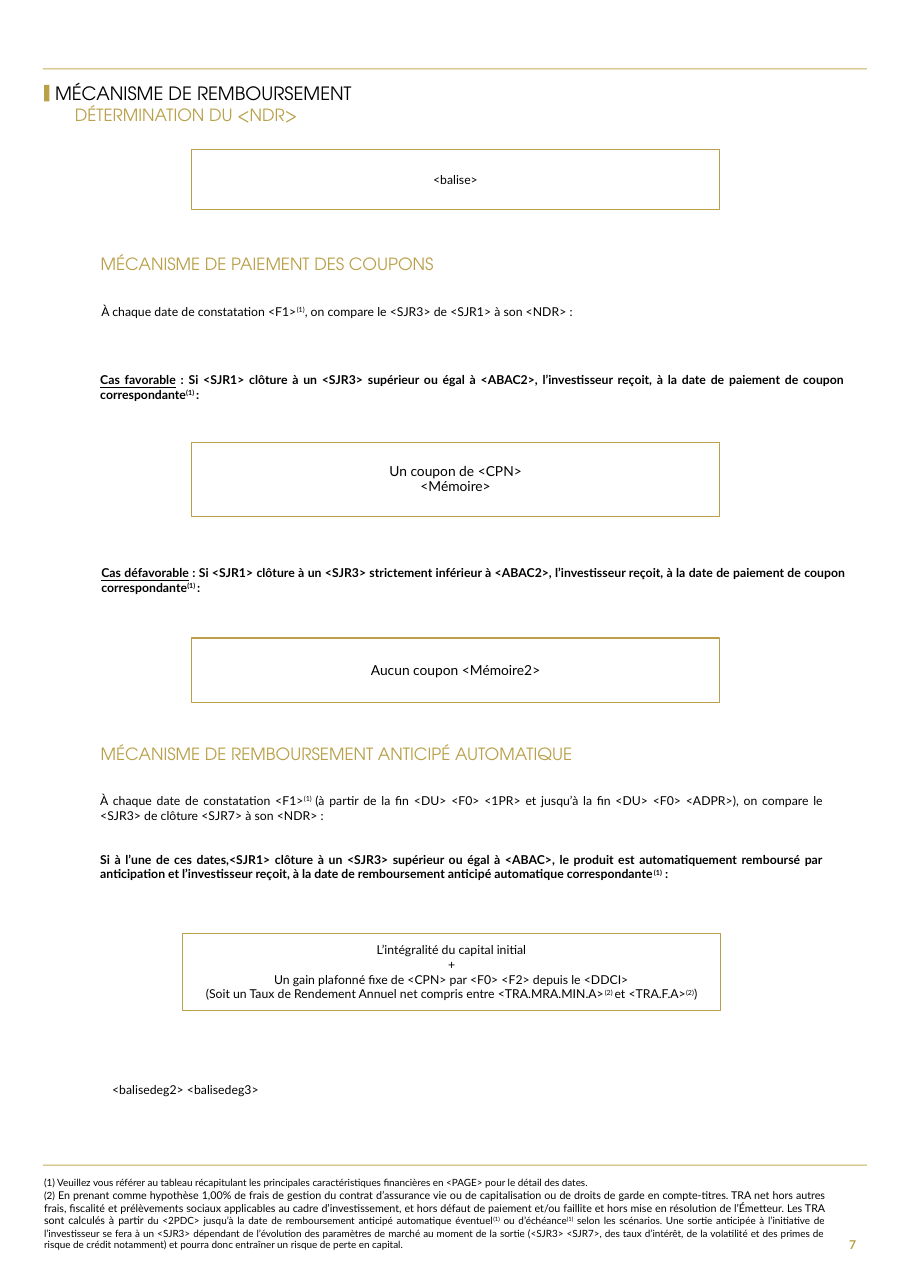
from dataclasses import dataclass

from pptx import Presentation
from pptx.dml.color import RGBColor
from pptx.enum.shapes import MSO_SHAPE as Shape
from pptx.enum.text import MSO_ANCHOR as Anchor, PP_ALIGN as Align
from pptx.util import Inches, Pt


@dataclass(frozen=True)
class Theme:
    gold: RGBColor = RGBColor(0xB9, 0xA0, 0x49)
    rule_gold: RGBColor = RGBColor(0xC5, 0xAF, 0x5C)
    black: RGBColor = RGBColor(0, 0, 0)
    body_font: str = "Lato"
    heading_font: str = "TeX Gyre Adventor"
    title: Pt = Pt(12)
    heading: Pt = Pt(11)
    emphasis: Pt = Pt(9)
    body: Pt = Pt(8)
    note_large: Pt = Pt(7)
    note: Pt = Pt(6.5)


THEME = Theme()
WIDTH, HEIGHT = Inches(8.27), Inches(11.69)

# Shares of the slide, in percent
MARGIN, RULE_WIDTH = 4.72, 90.45
BODY_LEFT, BODY_WIDTH = 11.05, 79.44
CASE_WIDTH = 81.8
BOX_LEFT, BOX_WIDTH = 21.04, 57.92

BODY = {"name": THEME.body_font, "size": THEME.body, "color": THEME.black}
BOLD = BODY | {"bold": True}
EMPHASIS = BODY | {"size": THEME.emphasis}
NOTE = BODY | {"size": THEME.note}
PAGE = BOLD | {"color": THEME.gold}
TITLE = {"name": THEME.heading_font, "size": THEME.title, "color": THEME.black}
HEADING = TITLE | {"size": THEME.heading, "color": THEME.gold}

UNDERLINED = {"underline": True}
LARGER = {"size": THEME.note_large}
SUPERSCRIPT = {"baseline": "30000"}


def sup(mark):
    return mark, SUPERSCRIPT


def place(left, top, width, height):
    """Turn percentages of the slide into lengths."""
    return [round(share * side / 100) for share, side in
            zip((left, top, width, height), (WIDTH, HEIGHT, WIDTH, HEIGHT))]


def style_run(run, style):
    for key, value in style.items():
        if key == "color":
            run.font.color.rgb = value
        elif key == "baseline":
            run._r.get_or_add_rPr().set(key, value)
        else:
            setattr(run.font, key, value)


def write(frame, paragraphs, style, insets=(0, 0), anchor=Anchor.TOP, **layout):
    """Fill a frame; a paragraph is a list of strings or (string, style) pairs."""
    frame.word_wrap = True
    frame.vertical_anchor = anchor
    frame.margin_left = frame.margin_right = Inches(insets[0])
    frame.margin_top = frame.margin_bottom = Inches(insets[1])
    gap = layout.pop("gap", None)
    for index, pieces in enumerate(paragraphs):
        paragraph = frame.paragraphs[0] if index == 0 else frame.add_paragraph()
        for key, value in layout.items():
            setattr(paragraph, key, value)
        if index and gap:
            paragraph.space_before = gap
        for piece in pieces:
            words, extra = (piece, {}) if isinstance(piece, str) else piece
            run = paragraph.add_run()
            run.text = words
            style_run(run, style | extra)


def add_text(slide, area, paragraphs, style=BODY, **options):
    write(slide.shapes.add_textbox(*place(*area)).text_frame, paragraphs, style, **options)


def add_heading(slide, area, words, style=HEADING, **options):
    add_text(slide, area, [[words]], style, line_spacing=0.9, **options)


def add_rectangle(slide, area):
    rectangle = slide.shapes.add_shape(Shape.RECTANGLE, *place(*area))
    rectangle.shadow.inherit = False
    return rectangle


def add_bar(slide, area, color):
    bar = add_rectangle(slide, area)
    bar.fill.solid()
    bar.fill.fore_color.rgb = color
    bar.line.fill.background()


def add_payoff_box(slide, area, paragraphs, style=BODY, border=0.5, **options):
    box = add_rectangle(slide, area)
    box.fill.background()
    box.line.color.rgb = THEME.gold
    box.line.width = Pt(border)
    write(box.text_frame, paragraphs, style, insets=(0.12, 0.08),
          anchor=Anchor.MIDDLE, alignment=Align.CENTER, **options)


def add_case(slide, left, top, name, condition):
    add_text(slide, (left, top, CASE_WIDTH, 2.31), [[
        (name, UNDERLINED),
        f" : Si <SJR1> clôture à un <SJR3> {condition} à <ABAC2>, l’investisseur reçoit, "
        "à la date de paiement de coupon correspondante",
        sup("(1) "), ":"]], BOLD, alignment=Align.JUSTIFY)


def add_title(slide):
    add_bar(slide, (4.84, 6.59, 0.6, 1.28), THEME.gold)
    add_heading(slide, (6.05, 6.24, 50.91, 2.14), "MÉCANISME DE REMBOURSEMENT",
                TITLE, anchor=Anchor.MIDDLE)
    add_heading(slide, (8.22, 8.3, 38.33, 1.54), "DÉTERMINATION DU <NDR>")
    add_payoff_box(slide, (BOX_LEFT, 11.63, BOX_WIDTH, 4.62), [["<balise>"]])


def add_coupons(slide):
    add_heading(slide, (BODY_LEFT, 19.85, CASE_WIDTH, 1.45),
                "MÉCANISME DE PAIEMENT DES COUPONS")
    add_text(slide, (11.12, 23.61, BODY_WIDTH, 1.11), [[
        "À chaque date de constatation <F1>", sup("(1)"),
        ", on compare le <SJR3> de <SJR1> à son <NDR> :"]], alignment=Align.JUSTIFY)
    add_case(slide, 11, 28.91, "Cas favorable", "supérieur ou égal")
    add_payoff_box(slide, (BOX_LEFT, 34.39, BOX_WIDTH, 5.73),
                   [["Un coupon de <CPN>"], ["<Mémoire>"]],
                   EMPHASIS, border=0.75, line_spacing=0.9)
    add_case(slide, 11.12, 43.88, "Cas défavorable", "strictement inférieur")
    add_payoff_box(slide, (BOX_LEFT, 49.53, BOX_WIDTH, 5.05),
                   [["Aucun coupon <Mémoire2>"]], EMPHASIS, border=0.75)


def add_early_redemption(slide):
    add_heading(slide, (BODY_LEFT, 57.91, CASE_WIDTH, 1.45),
                "MÉCANISME DE REMBOURSEMENT ANTICIPÉ AUTOMATIQUE")
    add_text(slide, (11, 61.59, BODY_WIDTH, 6.93), [
        ["À chaque date de constatation <F1>", sup("(1) "),
         "(à partir de la fin <DU> <F0> <1PR> et jusqu’à la fin <DU> <F0> <ADPR>), "
         "on compare le <SJR3> de clôture <SJR7> à son <NDR> :"],
        [("Si à l’une de ces dates,<SJR1> clôture à un <SJR3> supérieur ou égal à <ABAC>, "
          "le produit est automatiquement remboursé par anticipation et l’investisseur "
          "reçoit, à la date de remboursement anticipé automatique correspondante", BOLD),
         ("(1)", BOLD | SUPERSCRIPT), (" :", BOLD)],
    ], alignment=Align.JUSTIFY, gap=Pt(19.2))
    add_payoff_box(slide, (20.07, 72.46, 59.01, 5.99), [
        ["L’intégralité du capital initial"],
        ["+"],
        ["Un gain plafonné fixe de <CPN> par <F0> <F2> depuis le <DDCI>"],
        ["(Soit un Taux de Rendement Annuel net compris entre <TRA.MRA.MIN.A>",
         sup("(2) "), "et <TRA.F.A>", sup("(2)"), ")"]])
    add_text(slide, (11.12, 83.58, BODY_WIDTH, 2.05), [["<balisedeg2> <balisedeg3>"]],
             insets=(0.1, 0.05))


def add_footer(slide):
    add_text(slide, (4.84, 91.36, 85.73, 5.82), [
        ["(1) Veuillez vous référer au tableau récapitulant les principales "
         "caractéristiques financières en <PAGE> pour le détail des dates."],
        ["(2) ",
         ("En prenant comme hypothèse 1,00% de frais de gestion du contrat d’assurance vie "
          "ou de capitalisation ou de droits de garde en compte-titres. TRA net hors autres "
          "frais, fiscalité et prélèvements sociaux applicables au cadre d’investissement, "
          "et hors défaut de paiement et/ou faillite et hors mise en résolution de "
          "l’Émetteur. Les TRA sont calculés à partir ", LARGER),
         "du <2PDC> jusqu’à la date de remboursement anticipé automatique éventuel",
         sup("(1)"), " ou d’échéance", sup("(1)"),
         " selon les scénarios. Une sortie anticipée à l’initiative de l’investisseur se "
         "fera à un <SJR3> dépendant de l’évolution des paramètres de marché au moment de "
         "la sortie (<SJR3> <SJR7>, des taux d’intérêt, de la volatilité et des primes de "
         "risque de crédit notamment) et pourra donc entraîner un risque de perte en "
         "capital."],
    ], NOTE, alignment=Align.JUSTIFY)
    add_text(slide, (90.45, 94.87, MARGIN, 3.59), [["7"]], PAGE, insets=(0.1, 0.05),
             anchor=Anchor.MIDDLE, alignment=Align.RIGHT)


def main():
    deck = Presentation()
    deck.slide_width, deck.slide_height = WIDTH, HEIGHT
    slide = deck.slides.add_slide(deck.slide_layouts[6])
    for top in (5.3, 90.42):
        add_bar(slide, (MARGIN, top, RULE_WIDTH, 0.09), THEME.rule_gold)
    add_title(slide)
    add_coupons(slide)
    add_early_redemption(slide)
    add_footer(slide)
    deck.save("out.pptx")


if __name__ == "__main__":
    main()
